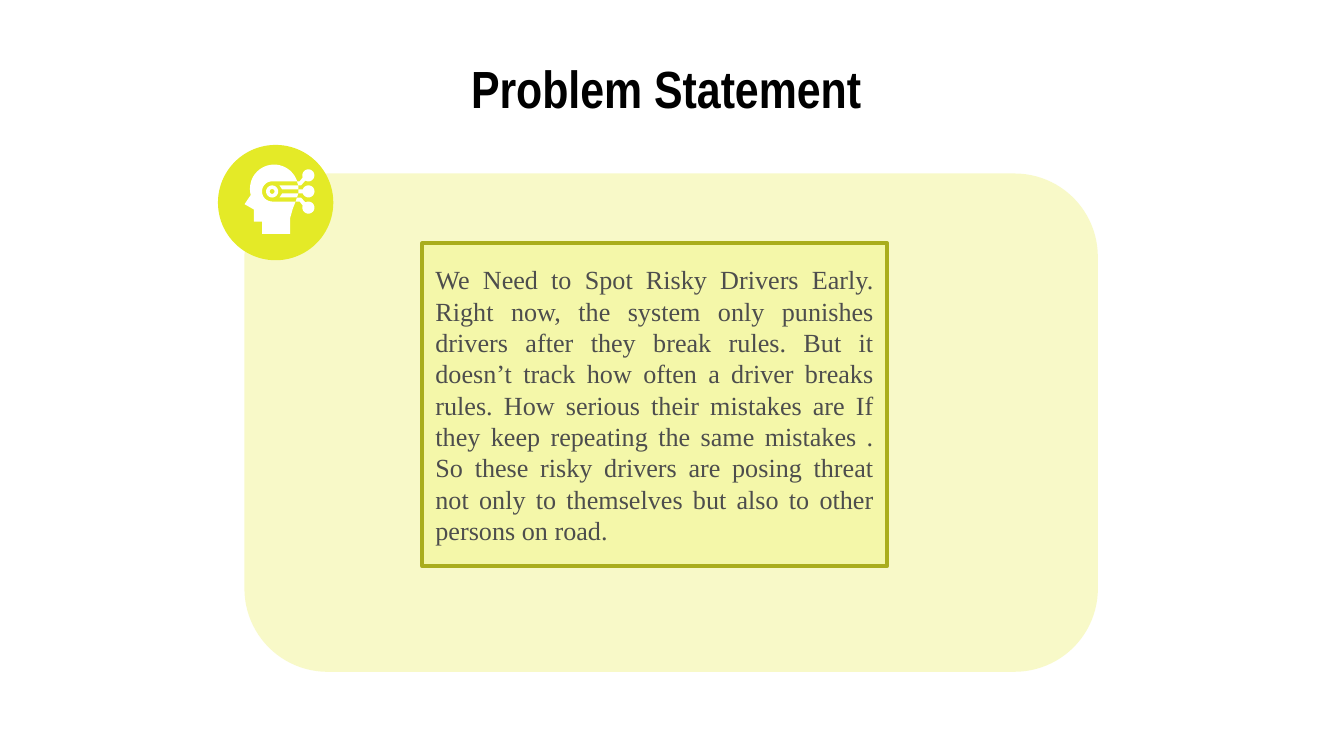
from dataclasses import dataclass
from math import cos, radians, sin

from lxml import etree
from pptx import Presentation
from pptx.dml.color import RGBColor
from pptx.enum.shapes import MSO_SHAPE
from pptx.enum.text import MSO_ANCHOR, MSO_AUTO_SIZE, PP_ALIGN
from pptx.oxml.ns import qn
from pptx.util import Cm, Pt

ROUNDED, OVAL, RECTANGLE = MSO_SHAPE.ROUNDED_RECTANGLE, MSO_SHAPE.OVAL, MSO_SHAPE.RECTANGLE
MIDDLE = MSO_ANCHOR.MIDDLE
CENTER, JUSTIFY = PP_ALIGN.CENTER, PP_ALIGN.JUSTIFY
NO_AUTOFIT = MSO_AUTO_SIZE.NONE


@dataclass(frozen=True)
class Theme:
    accent: RGBColor = RGBColor(0xE4, 0xEA, 0x27)
    box_fill: RGBColor = RGBColor(0xF4, 0xF7, 0xA9)
    box_line: RGBColor = RGBColor(0xA9, 0xAD, 0x1D)
    icon: RGBColor = RGBColor(0xFF, 0xFF, 0xFF)
    heading: RGBColor = RGBColor(0x00, 0x00, 0x00)
    body: RGBColor = RGBColor(0x4D, 0x4D, 0x4D)
    heading_font: str = "Arial Narrow"
    body_font: str = "Times New Roman"
    heading_size: int = 28
    body_size: int = 14


THEME = Theme()
ICON_UNIT = Cm(2.54) / 100  # icon points are hundredths of an inch


def arc(cx, cy, radius, start, end, steps=24):
    """Points along a circle, in degrees clockwise from the right."""
    angles = [radians(start + (end - start) * i / steps) for i in range(steps + 1)]
    return [(cx + radius * cos(a), cy + radius * sin(a)) for a in angles]


def add_flat_shape(kind, left, top, width, height, color):
    shape = slide.shapes.add_shape(kind, Cm(left), Cm(top), Cm(width), Cm(height))
    shape.shadow.inherit = False
    shape.fill.solid()
    shape.fill.fore_color.rgb = color
    shape.line.fill.background()
    return shape


prs = Presentation()
prs.slide_width, prs.slide_height = Cm(25.4), Cm(14.29)
slide = prs.slides.add_slide(prs.slide_layouts[5])

# Pale panel and the badge on its corner
panel = add_flat_shape(ROUNDED, 4.62, 3.28, 16.13, 9.42, THEME.accent)
panel.adjustments[0] = 0.167
panel_color = panel.fill._xPr.find(qn("a:solidFill"))[0]
etree.SubElement(panel_color, qn("a:alpha"), val="25000")
add_flat_shape(OVAL, 4.12, 2.74, 2.18, 2.18, THEME.accent)

# Title
title = slide.shapes.title
title.left, title.top, title.width, title.height = Cm(1.27), Cm(1.14), Cm(22.86), Cm(1.04)
heading = title.text_frame
heading.auto_size = NO_AUTOFIT
heading.word_wrap = True
heading.vertical_anchor = MIDDLE
heading.margin_left = heading.margin_right = Cm(0.25)
heading.margin_top = heading.margin_bottom = Cm(0.25)
heading.paragraphs[0].alignment = CENTER
heading_run = heading.paragraphs[0].add_run()
heading_run.text = "Problem Statement "
heading_run.font.name = THEME.heading_font
heading_run.font.size = Pt(THEME.heading_size)
heading_run.font.bold = True
heading_run.font.color.rgb = THEME.heading

# Head icon: each part is a list of closed contours
head = (arc(204, 140.5, 18, 165, 342)
        + arc(202.5, 142.5, 7.5, 270, 90)
        + [(220, 150), (218, 155), (216, 162), (216, 174), (195, 174),
           (195, 165), (189, 165), (189, 156), (182, 152)])
eye = arc(202.5, 142.5, 4.5, 0, 360)
pupil = arc(202.5, 142.5, 1.8, 360, 0)
upper_bar = [(208, 138), (222, 138), (222, 141), (210, 141)]
lower_bar = [(210, 144), (222, 144), (221, 147), (208, 147)]
upper_node = arc(229.5, 130.5, 4.5, 160, 480) + [(224, 138), (222, 138), (221, 135), (223, 135)]
middle_node = arc(229.5, 142.5, 4.5, 200, 520) + [(222, 144), (222, 141)]
lower_node = arc(229.5, 154.5, 4.5, 240, 560) + [(223, 150), (220, 150), (221, 147), (224, 147)]

icon = slide.shapes.add_group_shape()
for contours in ([lower_bar], [eye, pupil], [head], [upper_bar],
                 [upper_node], [middle_node], [lower_node]):
    scaled = [[(x * ICON_UNIT, y * ICON_UNIT) for x, y in points] for points in contours]
    outline = icon.shapes.build_freeform(*scaled[0][0])
    outline.add_line_segments(scaled[0][1:])
    for hole in scaled[1:]:
        outline.move_to(*hole[0])
        outline.add_line_segments(hole[1:])
    part = outline.convert_to_shape()
    part.shadow.inherit = False
    part.fill.solid()
    part.fill.fore_color.rgb = THEME.icon
    part.line.fill.background()

# Statement box
statement = add_flat_shape(RECTANGLE, 7.98, 4.6, 8.79, 6.1, THEME.box_fill)
statement.line.color.rgb = THEME.box_line
statement.line.width = Pt(2)
statement.text_frame.word_wrap = True
statement.text_frame.vertical_anchor = MIDDLE
paragraph = statement.text_frame.paragraphs[0]
paragraph.alignment = JUSTIFY
sentences = [
    "We Need to Spot Risky Drivers Early.",
    "Right now, the system only punishes drivers after they break rules. "
    "But it doesn’t track how often a driver breaks rules. "
    "How serious their mistakes are If they keep repeating the same mistakes . "
    "So these risky drivers are posing threat not only to themselves "
    "but also to other persons on road.",
]
for i, sentence in enumerate(sentences):
    if i:
        paragraph.add_line_break()
    run = paragraph.add_run()
    run.text = sentence
    run.font.name = THEME.body_font
    run.font.size = Pt(THEME.body_size)
    run.font.color.rgb = THEME.body

prs.save("out.pptx")
